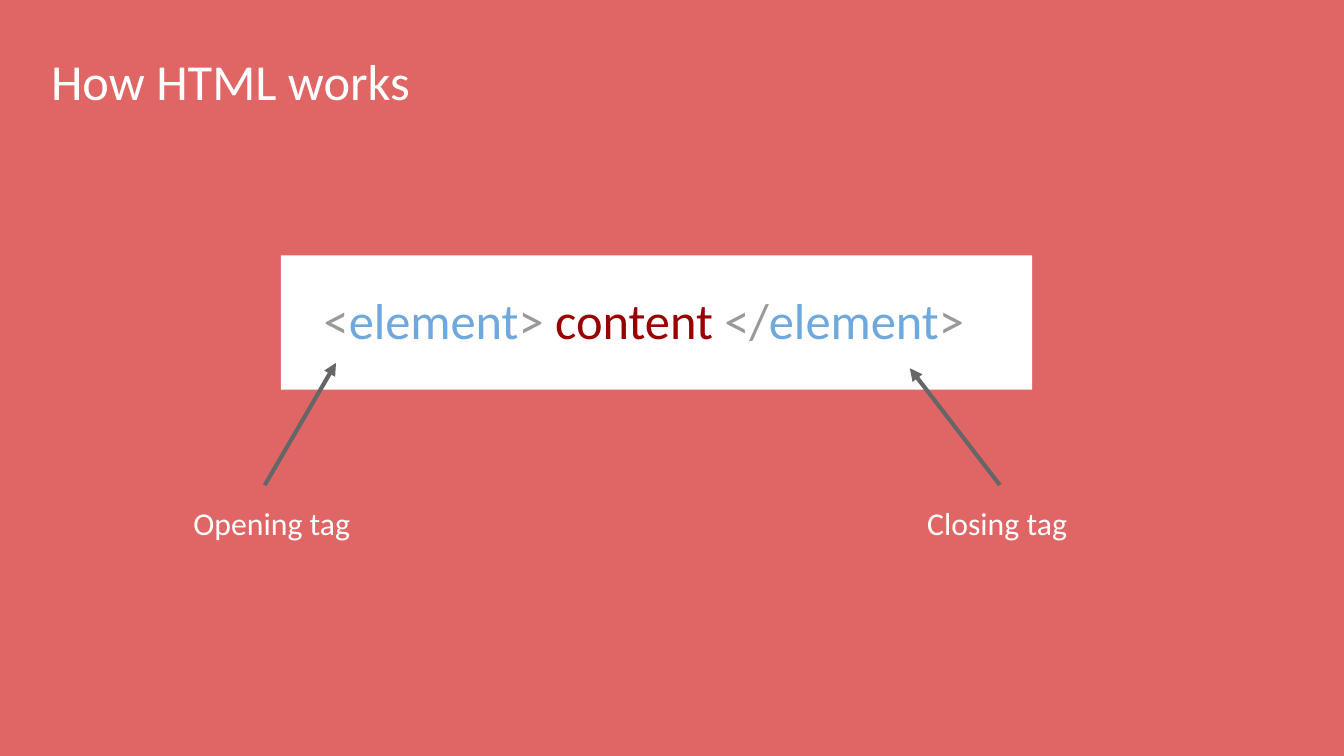
from lxml import etree
from pptx import Presentation
from pptx import util as u
from pptx.dml.color import RGBColor
from pptx.enum import shapes, text
from pptx.oxml.ns import qn

WIDE = 10
HIGH = WIDE * 9 / 16
FONT = "Calibri"
CORAL, WHITE, GREY, BLUE, RED, DARK = (
    "E06666", "FFFFFF", "999999", "6FA8DC", "990000", "666666")

TITLE = ("How HTML works", (0.28, 0.27, 5.79, 0.56))
PANEL = (2.09, 1.9, 5.59, 1)
CODE = [("<", GREY), ("element", BLUE), ("> ", GREY), ("content ", RED),
        ("</", GREY), ("element", BLUE), (">", GREY)]
CODE_BOX = (2.31, 2.05, 5.79, 0.56)
LABEL_TOP, LABEL_HIGH, TAIL_TOP = 3.65, 0.67, 3.61
TAGS = [
    {"name": "Opening tag", "left": 1.34, "wide": 2.09,
     "tip": (2.5, 2.7), "tail": 1.97},
    {"name": "Closing tag", "left": 6.8, "wide": 1.8,
     "tip": (6.77, 2.74), "tail": 7.44},
]


def color(code):
    return RGBColor.from_string(code)


def inches(nums):
    return [u.Inches(n) for n in nums]


def write(shape, parts, size):
    frame = shape.text_frame
    frame.word_wrap = True
    frame.auto_size = text.MSO_AUTO_SIZE.NONE
    frame.vertical_anchor = text.MSO_ANCHOR.TOP
    frame.margin_left = frame.margin_right = u.Inches(0.1)
    frame.margin_top = frame.margin_bottom = u.Inches(0.1)
    para = frame.paragraphs[0]
    para.alignment = text.PP_ALIGN.LEFT
    para.line_spacing = 1.0
    para.space_before = u.Pt(0)
    for words, shade in parts:
        run = para.add_run()
        run.text = words
        run.font.name, run.font.size = FONT, u.Pt(size)
        run.font.color.rgb = color(shade)


def arrow(slide, tip, tail):
    line = slide.shapes.add_connector(
        shapes.MSO_CONNECTOR.STRAIGHT, *inches(tip + tail))
    line.line.color.rgb = color(DARK)
    line.line.width = u.Pt(2.25)
    stroke = line._element.spPr.find(qn("a:ln"))
    etree.SubElement(stroke, qn("a:headEnd"), type="triangle")
    etree.SubElement(line._element.spPr, qn("a:effectLst"))


def main():
    """Build the slide on opening and closing HTML tags."""
    deck = Presentation()
    deck.slide_width, deck.slide_height = inches((WIDE, HIGH))
    slide = deck.slides.add_slide(deck.slide_layouts[5])
    slide.background.fill.solid()
    slide.background.fill.fore_color.rgb = color(CORAL)

    words, area = TITLE
    title = slide.shapes.title
    title.left, title.top, title.width, title.height = inches(area)
    write(title, [(words, WHITE)], 27)

    panel = slide.shapes.add_shape(shapes.MSO_SHAPE.RECTANGLE, *inches(PANEL))
    panel.shadow.inherit = False
    panel.fill.solid()
    panel.fill.fore_color.rgb = color(WHITE)
    panel.line.fill.background()
    write(slide.shapes.add_textbox(*inches(CODE_BOX)), CODE, 27)

    for tag in TAGS:
        arrow(slide, tag["tip"], (tag["tail"], TAIL_TOP))
        area = (tag["left"], LABEL_TOP, tag["wide"], LABEL_HIGH)
        label = slide.shapes.add_textbox(*inches(area))
        write(label, [(tag["name"], WHITE)], 17)
    deck.save("out.pptx")


if __name__ == "__main__":
    main()
